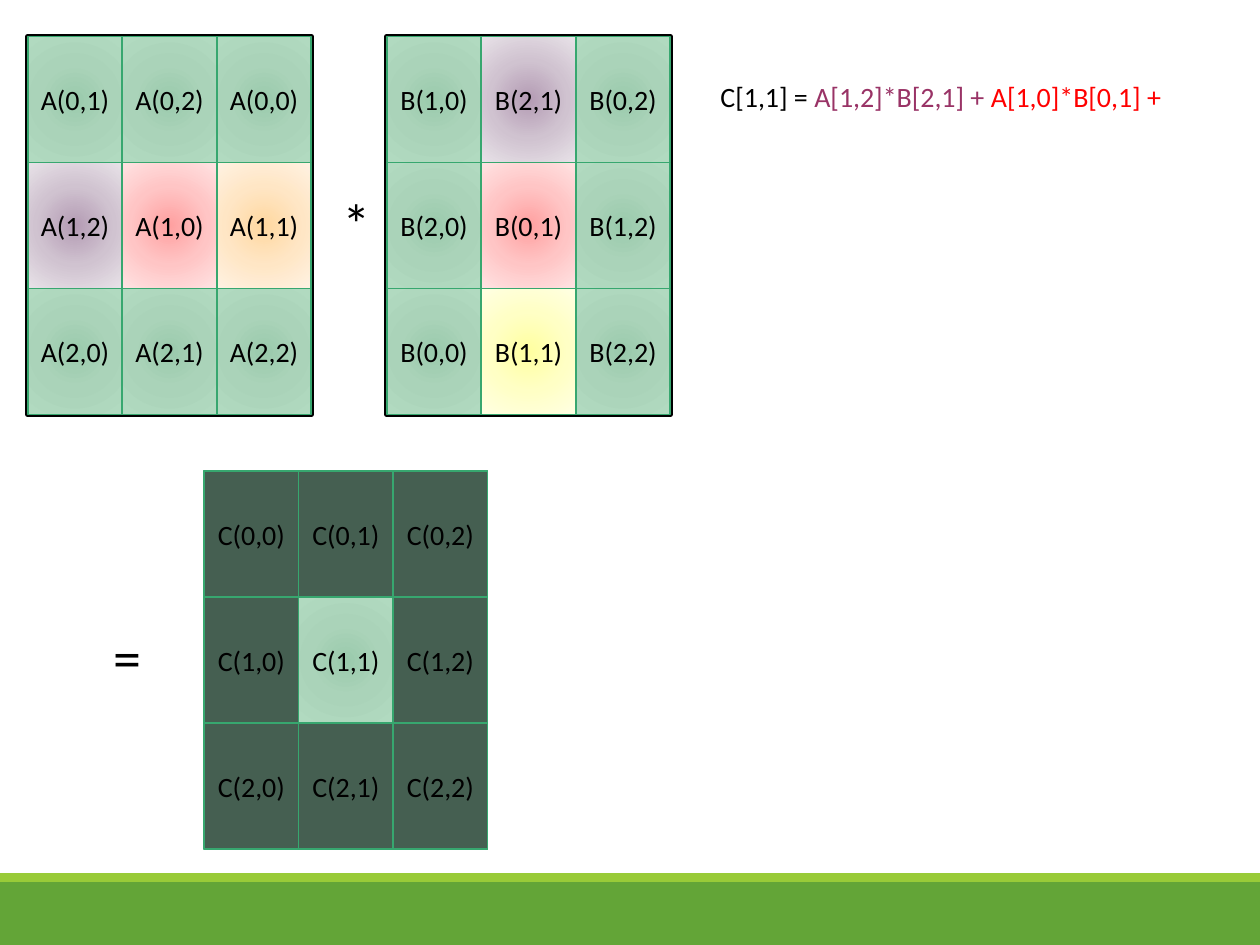
"""Build a slide showing one step of a skewed 3 by 3 matrix multiplication."""
from lxml import etree
from pptx import Presentation
from pptx.dml.color import RGBColor
from pptx.enum.shapes import MSO_SHAPE
from pptx.enum.text import MSO_ANCHOR, PP_ALIGN
from pptx.oxml.ns import qn
from pptx.util import Inches, Pt

RECTANGLE = MSO_SHAPE.RECTANGLE
MIDDLE = MSO_ANCHOR.MIDDLE
CENTER = PP_ALIGN.CENTER

FONT = "Calibri"
CELL_WIDTH, CELL_HEIGHT = 0.75, 1
COLORS = {
    "black": "000000", "white": "FFFFFF", "plum": "993366", "red": "FF0000",
    "dark": "455F51", "border": "37A76F", "band": "63A537", "stripe": "99CB38",
}
GRADIENTS = {
    "green": ((0, "9ACAAC"), (45, "AAD3B9"), (100, "B1DAC0")),
    "purple": ((0, "B49BB4"), (50, "D0C3D0"), (100, "E8E2E8")),
    "rose": ((0, "FFA0A0"), (50, "FFC5C5"), (100, "FFE3E3")),
    "orange": ((0, "FFD8A0"), (50, "FFE6C5"), (100, "FFF2E3")),
    "yellow": ((0, "FFFFA0"), (50, "FFFFC5"), (100, "FFFFE3")),
}
BANDS = [(7, 0.5, "band"), (6.93, 0.07, "stripe")]
MATRICES = [
    {
        "name": "A", "left": 0.22, "top": 0.29, "frame": ("white", "black", 3),
        "indices": ["0,1 0,2 0,0", "1,2 1,0 1,1", "2,0 2,1 2,2"], "fill": "green",
        "marked": {"1,2": "purple", "1,0": "rose", "1,1": "orange"},
    },
    {
        "name": "B", "left": 3.07, "top": 0.29, "frame": ("white", "black", 3),
        "indices": ["1,0 2,1 0,2", "2,0 0,1 1,2", "0,0 1,1 2,2"], "fill": "green",
        "marked": {"2,1": "purple", "0,1": "rose", "1,1": "yellow"},
    },
    {
        "name": "C", "left": 1.62, "top": 3.74, "frame": ("green", "border", 1),
        "indices": ["0,0 0,1 0,2", "1,0 1,1 1,2", "2,0 2,1 2,2"], "fill": "dark",
        "marked": {"1,1": "green"},
    },
]
LABELS = [
    (5.62, 0.58, 3.83, 0.37, 16, [("C[1,1] = ", "black"),
                                  ("A[1,2]*B[2,1] + ", "plum"),
                                  ("A[1,0]*B[0,1] +", "red")]),
    (2.62, 1.45, 0.26, 0.64, 32, [("*", "black")]),
    (0.8, 4.89, 0.26, 0.64, 32, [("=", "black")]),
]


def rgb(name):
    return RGBColor.from_string(COLORS[name])


def fill_radial(box, stops):
    box.fill.gradient()
    gradient = box._element.spPr.find(qn("a:gradFill"))
    gradient.clear()
    gradient.set("rotWithShape", "1")
    stop_list = etree.SubElement(gradient, qn("a:gsLst"))
    for position, color in stops:
        stop = etree.SubElement(stop_list, qn("a:gs"), pos=str(position * 1000))
        etree.SubElement(stop, qn("a:srgbClr"), val=color)
    circle = etree.SubElement(gradient, qn("a:path"), path="circle")
    etree.SubElement(circle, qn("a:fillToRect"),
                     {side: "50000" for side in ("l", "t", "r", "b")})


def add_box(shapes, left, top, width, height, fill, line=None, weight=1):
    box = shapes.add_shape(RECTANGLE, Inches(left), Inches(top), Inches(width), Inches(height))
    box.shadow.inherit = False
    if fill in GRADIENTS:
        fill_radial(box, GRADIENTS[fill])
    else:
        box.fill.solid()
        box.fill.fore_color.rgb = rgb(fill)
    if line:
        box.line.color.rgb = rgb(line)
        box.line.width = Pt(weight)
    else:
        box.line.fill.background()
    return box


def add_span(para, text, size, color):
    span = para.add_run()
    span.text = text
    span.font.name = FONT
    span.font.size = Pt(size)
    span.font.color.rgb = rgb(color)


def add_matrix(page, matrix):
    left, top = matrix["left"], matrix["top"]
    add_box(page.shapes, left, top, 3 * CELL_WIDTH, 3 * CELL_HEIGHT, *matrix["frame"])
    cells = page.shapes.add_group_shape().shapes
    for row, line in enumerate(matrix["indices"]):
        for column, index in enumerate(line.split()):
            fill = matrix["marked"].get(index, matrix["fill"])
            cell = add_box(cells, left + column * CELL_WIDTH, top + row * CELL_HEIGHT,
                           CELL_WIDTH, CELL_HEIGHT, fill, "border")
            frame = cell.text_frame
            frame.margin_left = frame.margin_right = 0
            frame.vertical_anchor = MIDDLE
            para = frame.paragraphs[0]
            para.alignment = CENTER
            add_span(para, f"{matrix['name']}({index})", 16, "black")


def add_label(page, left, top, width, height, size, spans):
    box = page.shapes.add_textbox(Inches(left), Inches(top), Inches(width), Inches(height))
    box.text_frame.word_wrap = True
    for text, color in spans:
        add_span(box.text_frame.paragraphs[0], text, size, color)


def main():
    deck = Presentation()
    deck.slide_width, deck.slide_height = Inches(10), Inches(7.5)
    page = deck.slides.add_slide(deck.slide_layouts[6])
    for top, height, fill in BANDS:
        add_box(page.shapes, 0, top, 10, height, fill)
    for matrix in MATRICES:
        add_matrix(page, matrix)
    for label in LABELS:
        add_label(page, *label)
    deck.save("out.pptx")


if __name__ == "__main__":
    main()
